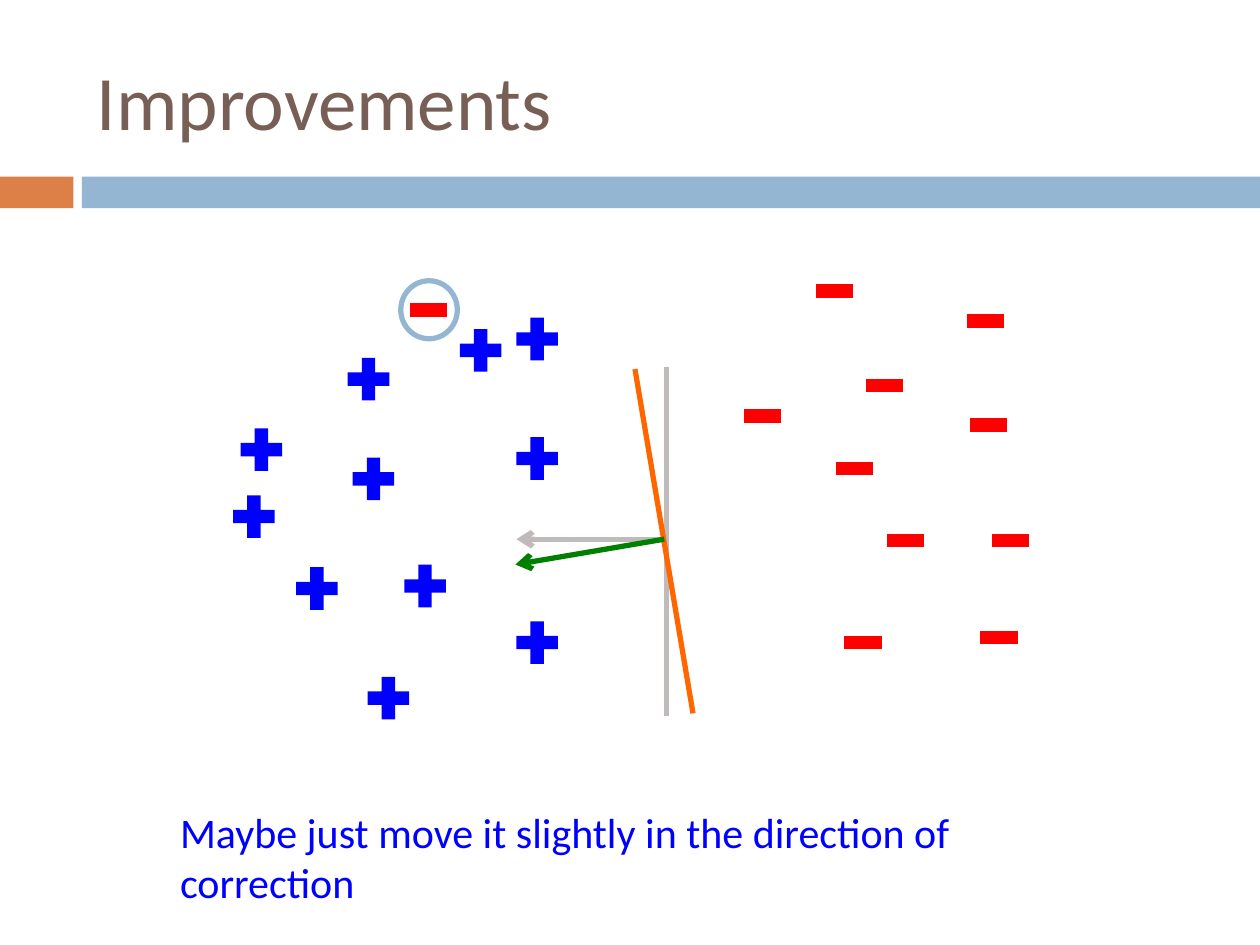
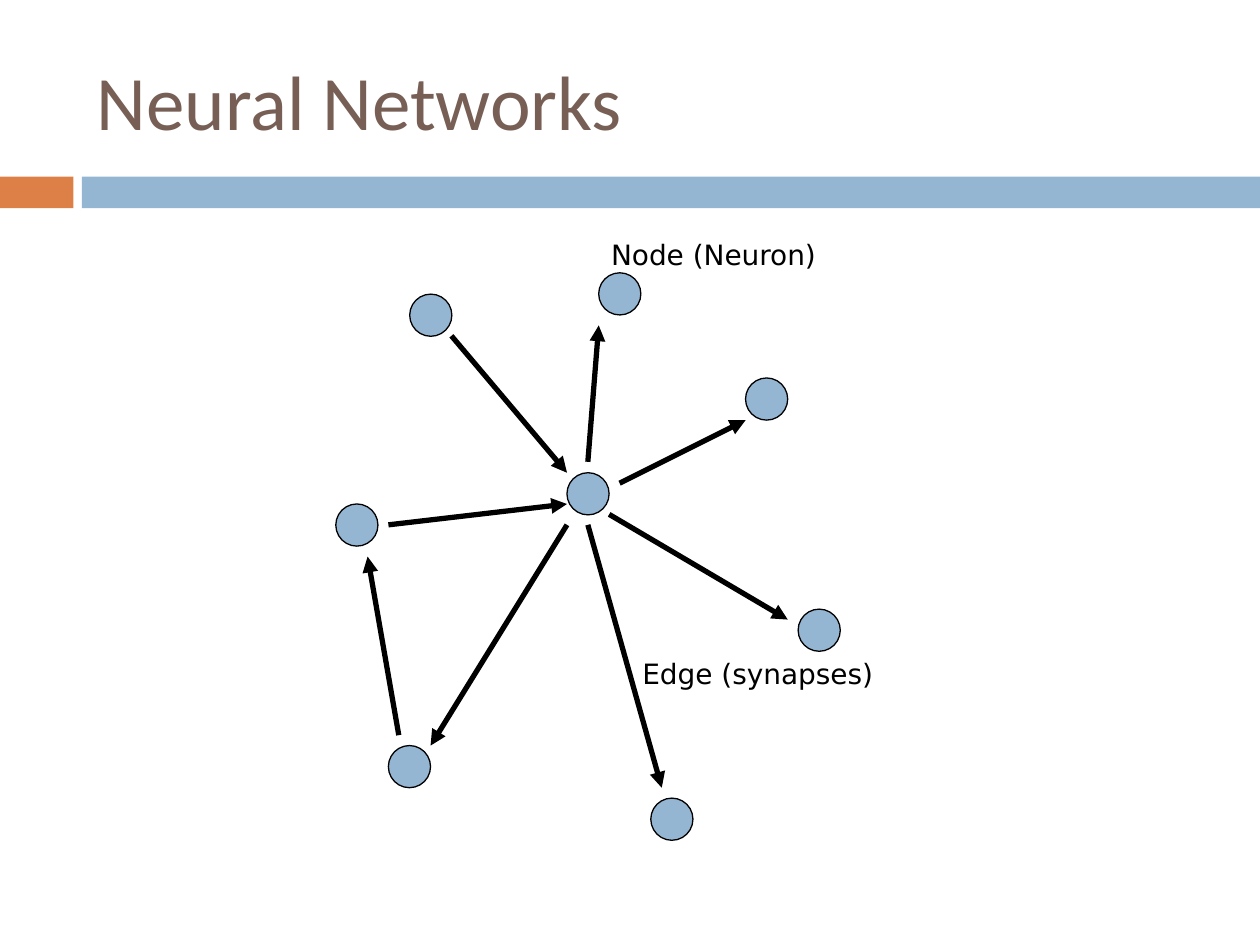
from dataclasses import dataclass

import lxml.etree
import pptx
import pptx.dml.color
import pptx.enum.shapes
import pptx.enum.text
import pptx.oxml.ns
import pptx.presentation
import pptx.shapes.autoshape
import pptx.slide
import pptx.text.text
import pptx.util

Cm = pptx.util.Cm
Pt = pptx.util.Pt
RGBColor = pptx.dml.color.RGBColor
Kind = pptx.enum.shapes.MSO_SHAPE
Anchor = pptx.enum.text.MSO_ANCHOR
qn = pptx.oxml.ns.qn

# Colours and fonts
BROWN = RGBColor(0x77, 0x5F, 0x55)
RUST = RGBColor(0xDD, 0x80, 0x47)
SKY = RGBColor(0x94, 0xB6, 0xD2)
GREY = RGBColor(0xC0, 0xBA, 0xBA)
BLUE = RGBColor(0x00, 0x00, 0xFF)
RED = RGBColor(0xFF, 0x00, 0x00)
ORANGE = RGBColor(0xFF, 0x66, 0x00)
GREEN = RGBColor(0x00, 0x80, 0x00)
BLACK = RGBColor(0x00, 0x00, 0x00)
BODY_FONT = "Calibri"
LABEL_FONT = "DejaVu Sans"

Point = tuple[float, float]


@dataclass(frozen=True)
class Box:
    """A rectangle in centimetres."""
    left: float
    top: float
    width: float
    height: float

    def cm(self) -> tuple[Cm, Cm, Cm, Cm]:
        return Cm(self.left), Cm(self.top), Cm(self.width), Cm(self.height)


@dataclass(frozen=True)
class Look:
    """A preset shape with its fill and outline."""
    kind: Kind
    fill: RGBColor | None = None
    line: RGBColor | None = None
    weight: float = 0.75


@dataclass(frozen=True)
class Edge:
    """A straight line, with an arrowhead at its end if one is named."""
    start: Point
    end: Point
    color: RGBColor = BLACK
    head: str = ""


@dataclass(frozen=True)
class Label:
    text: str
    box: Box
    size: int
    font: str
    color: RGBColor


# Shared frame
TITLE_BOX = Box(1.7, 0.64, 22.66, 2.74)
BANDS = [
    (Box(0, 3.56, 1.48, 0.64), Look(Kind.RECTANGLE, RUST)),
    (Box(1.65, 3.56, 23.75, 0.64), Look(Kind.RECTANGLE, SKY)),
]

# Samples on both sides of the boundary
PLUS = Look(Kind.MATH_PLUS, BLUE)
PLUS_SIZE = (1.14, 1.17)
PLUS_SPOTS = [
    (9.12, 6.48), (10.26, 8.66), (10.26, 12.37), (6.86, 7.06),
    (8, 11.23), (6.96, 9.07), (5.82, 11.28), (4.7, 8.48),
    (7.26, 13.49), (4.55, 9.83), (10.26, 6.25),
]
MINUS = Look(Kind.MATH_MINUS, RED)
MINUS_SIZE = (1.02, 1.17)
MINUS_SPOTS = [
    (16.31, 5.28), (19.86, 10.31), (19.35, 5.89), (8.13, 5.66),
    (14.86, 7.8), (17.32, 7.19), (17.75, 10.31), (16.89, 12.37),
    (16.71, 8.86), (19.63, 12.27), (19.41, 7.98),
]
RING = Look(Kind.OVAL, line=SKY, weight=3)
RING_SIZE = (1.14, 1.17)
RING_SPOTS = [(8.08, 5.66)]
BOUNDS = [
    Edge((13.44, 14.43), (13.44, 7.39), GREY),
    Edge((13.44, 10.87), (10.41, 10.87), GREY, "arrow"),
    Edge((13.97, 14.38), (12.8, 7.44), ORANGE),
    Edge((13.39, 10.87), (10.39, 11.38), GREEN, "arrow"),
]
REMARK = Label("Maybe just move it slightly in the direction of correction",
               Box(3.38, 16.13, 19.28, 1.27), 24, BODY_FONT, BLUE)

# Network
NODE = Look(Kind.OVAL, SKY, BLACK)
NODE_SIZE = (0.85, 0.85)
NODE_SPOTS = [
    (12.07, 5.5), (8.26, 5.93), (16.09, 12.28), (15.03, 7.62),
    (11.43, 9.53), (13.12, 16.09), (6.77, 10.16), (7.83, 15.03),
]
LINKS = [
    ((9.1, 6.77), (11.43, 9.53)),
    ((7.83, 10.58), (11.43, 10.16)),
    ((11.85, 9.31), (12.07, 6.56)),
    ((12.49, 9.74), (15.03, 8.47)),
    ((12.28, 10.37), (15.88, 12.49)),
    ((11.85, 10.58), (13.34, 15.88)),
    ((11.43, 10.58), (8.68, 15.03)),
    ((8.04, 14.82), (7.41, 11.22)),
]
NAMES = [
    Label("Node (Neuron)", Box(12.07, 4.66, 5.5, 0.94),
          16, LABEL_FONT, BLACK),
    Label("Edge (synapses)", Box(12.7, 13.12, 6.77, 0.94),
          16, LABEL_FONT, BLACK),
]


def draw_shape(slide: pptx.slide.Slide, box: Box,
               look: Look) -> pptx.shapes.autoshape.Shape:
    shape = slide.shapes.add_shape(look.kind, *box.cm())
    shape.shadow.inherit = False
    if look.fill is None:
        shape.fill.background()
    else:
        shape.fill.solid()
        shape.fill.fore_color.rgb = look.fill
    if look.line is None:
        shape.line.fill.background()
    else:
        shape.line.color.rgb = look.line
        shape.line.width = Pt(look.weight)
    return shape


def draw_all(slide: pptx.slide.Slide, spots: list[Point], size: Point,
             look: Look) -> None:
    for spot in spots:
        draw_shape(slide, Box(*spot, *size), look)


def draw_edge(slide: pptx.slide.Slide, edge: Edge) -> None:
    ends = [Cm(value) for value in edge.start + edge.end]
    line = slide.shapes.add_connector(
        pptx.enum.shapes.MSO_CONNECTOR.STRAIGHT, *ends)
    line.line.color.rgb = edge.color
    line.line.width = Pt(3)
    props = line.element.spPr
    if edge.head:
        lxml.etree.SubElement(props.find(qn("a:ln")), qn("a:tailEnd"),
                              type=edge.head)
    lxml.etree.SubElement(props, qn("a:effectLst"))


def set_text(frame: pptx.text.text.TextFrame, text: str, size: int,
             font: str, color: RGBColor) -> None:
    frame.text = text
    frame.word_wrap = True
    para = frame.paragraphs[0]
    para.alignment = pptx.enum.text.PP_ALIGN.LEFT
    para.font.size = Pt(size)
    para.font.name = font
    para.font.color.rgb = color


def draw_label(slide: pptx.slide.Slide, label: Label) -> None:
    frame = slide.shapes.add_textbox(*label.box.cm()).text_frame
    set_text(frame, label.text, label.size, label.font, label.color)


def add_slide(deck: pptx.presentation.Presentation,
              text: str) -> pptx.slide.Slide:
    """Add a slide with the shared title style and bands."""
    slide = deck.slides.add_slide(deck.slide_layouts.get_by_name("Title Only"))
    for box, look in BANDS:
        draw_shape(slide, box, look)
    title = slide.shapes.title
    title.left, title.top, title.width, title.height = TITLE_BOX.cm()
    set_text(title.text_frame, text, 44, BODY_FONT, BROWN)
    title.text_frame.vertical_anchor = Anchor.MIDDLE
    return slide


def add_samples(deck: pptx.presentation.Presentation) -> None:
    slide = add_slide(deck, "Improvements")
    for edge in BOUNDS:
        draw_edge(slide, edge)
    draw_all(slide, PLUS_SPOTS, PLUS_SIZE, PLUS)
    draw_all(slide, MINUS_SPOTS, MINUS_SIZE, MINUS)
    draw_all(slide, RING_SPOTS, RING_SIZE, RING)
    draw_label(slide, REMARK)


def add_network(deck: pptx.presentation.Presentation) -> None:
    slide = add_slide(deck, "Neural Networks")
    draw_all(slide, NODE_SPOTS, NODE_SIZE, NODE)
    for start, end in LINKS:
        draw_edge(slide, Edge(start, end, head="triangle"))
    for label in NAMES:
        draw_label(slide, label)


def main() -> None:
    deck = pptx.Presentation()
    deck.slide_width, deck.slide_height = Cm(25.4), Cm(19.05)
    add_samples(deck)
    add_network(deck)
    deck.save("out.pptx")


if __name__ == "__main__":
    main()
